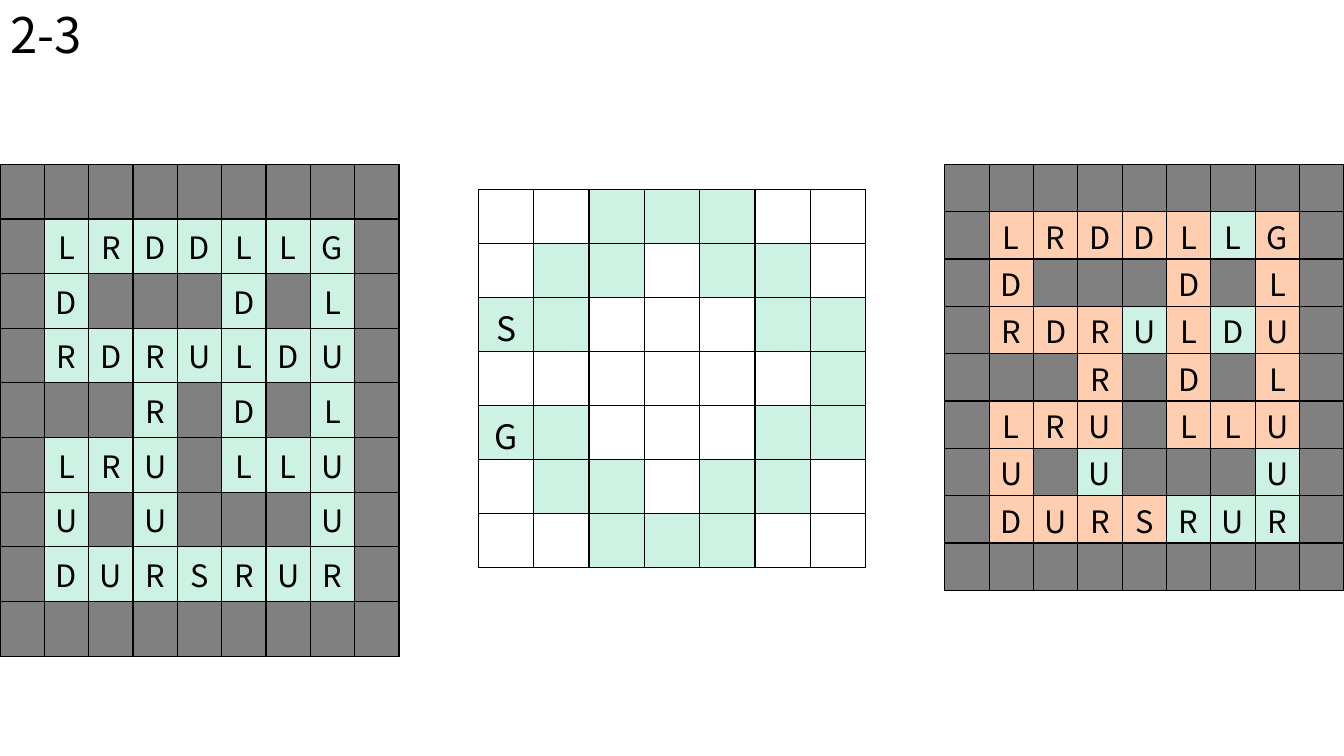
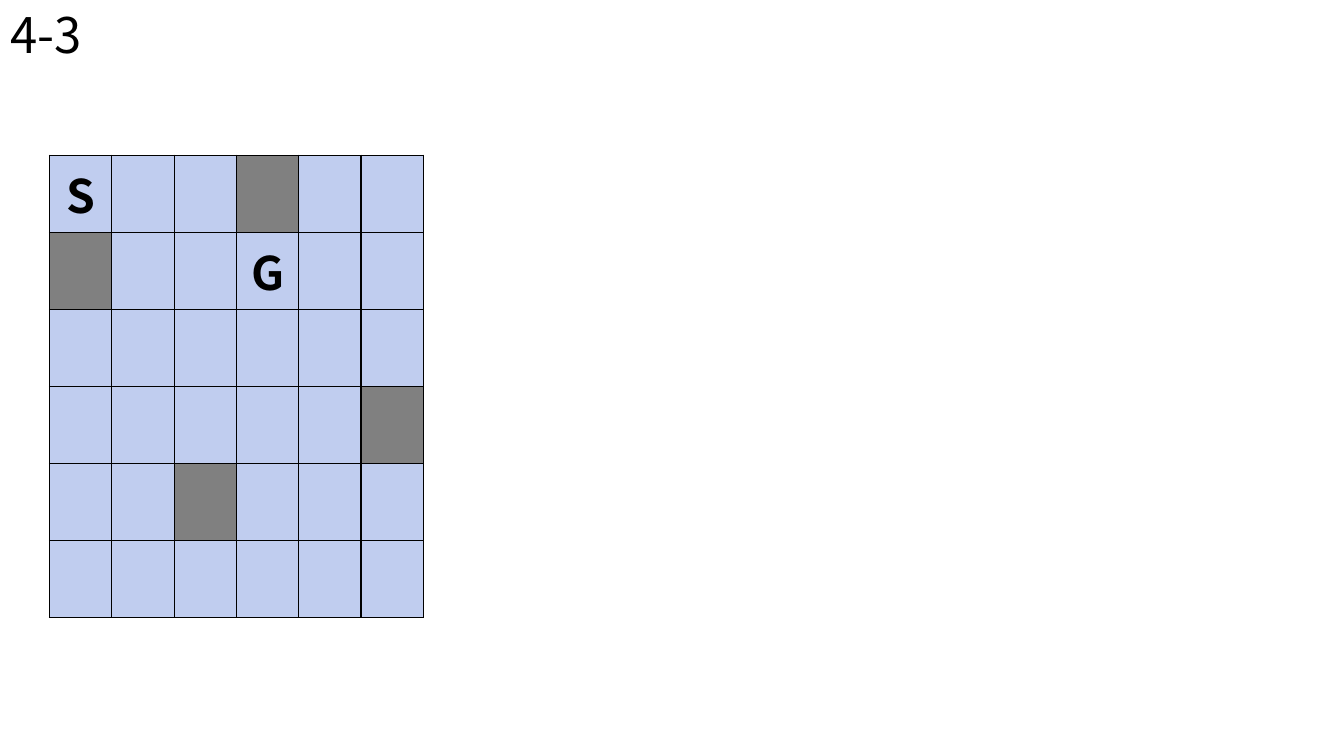
import lxml.etree
import pptx
import pptx.dml.color
import pptx.enum.text
import pptx.oxml.ns
import pptx.util

COLORS = {"ink": "000000", "wall": "808080", "mint": "CDF2E4",
          "peach": "FFCEB0", "sky": "C0CDEF"}
PAINT = {"#": "wall", "m": "mint", "p": "peach", "b": "sky", ".": None}

MAZE = ["#########", "#LRDDLLG#", "#D###D#L#", "#RDRULDU#", "###R#D#L#",
        "#LRU#LLU#", "#U#U###U#", "#DURSRUR#", "#########"]
ROUTE = ["#########", "#pppppmp#", "#p###p#p#", "#pppmpmp#", "###p#p#p#",
         "#ppp#ppp#", "#p#m###m#", "#ppppmmm#", "#########"]
RING = ["..mmm..", ".mm.mm.", "Sm...mm", "......m", "Gm...mm", ".mm.mm.", "..mmm.."]
FIELD = ["Sbb#bb", "#bbGbb", "bbbbbb", "bbbbb#", "bb#bbb", "bbbbbb"]


def set_all(target, values):
    for attribute, value in values.items():
        setattr(target, attribute, value)


class Puzzles:
    """Hold the shared style and the current slide, measured on a 100 by 100 grid."""

    font = "Noto Sans CJK KR"
    title_area = (0, 0, 7.35, 9.07)
    title_frame = {"margin_top": 0, "margin_bottom": 0, "margin_left": pptx.util.Inches(0.1),
                   "word_wrap": False, "auto_size": pptx.enum.text.MSO_AUTO_SIZE.NONE,
                   "vertical_anchor": pptx.enum.text.MSO_ANCHOR.MIDDLE}

    def __init__(self):
        self.deck = pptx.Presentation()
        set_all(self.deck, {"slide_width": pptx.util.Inches(13.33),
                            "slide_height": pptx.util.Inches(7.5)})

    def place(self, left, top, width, height):
        across, down = self.deck.slide_width / 100, self.deck.slide_height / 100
        return [round(left * across), round(top * down),
                round(width * across), round(height * down)]

    def letter(self, paragraph, text, size, bold, align):
        paragraph.alignment = align
        run = paragraph.add_run()
        run.text = text
        set_all(run.font, {"name": self.font, "size": pptx.util.Pt(size), "bold": bold})
        run.font.color.rgb = pptx.dml.color.RGBColor.from_string(COLORS["ink"])

    def page(self, number):
        self.slide = self.deck.slides.add_slide(self.deck.slide_layouts[5])
        title = self.slide.shapes.title
        set_all(title, dict(zip(("left", "top", "width", "height"),
                                self.place(*self.title_area))))
        set_all(title.text_frame, self.title_frame)
        self.letter(title.text_frame.paragraphs[0], number, 35, False,
                    pptx.enum.text.PP_ALIGN.LEFT)

    def border(self, cell):
        qn = pptx.oxml.ns.qn
        properties = cell._tc.get_or_add_tcPr()
        for side in ("a:lnL", "a:lnR", "a:lnT", "a:lnB"):
            edge = lxml.etree.SubElement(properties, qn(side), w=str(pptx.util.Pt(1)))
            ink = lxml.etree.SubElement(edge, qn("a:solidFill"))
            lxml.etree.SubElement(ink, qn("a:srgbClr"), val=COLORS["ink"])

    def size_line(self, paragraph, size):
        qn = pptx.oxml.ns.qn
        ending = lxml.etree.SubElement(paragraph._p, qn("a:endParaRPr"), sz=str(size * 100))
        for script in ("a:latin", "a:ea"):
            lxml.etree.SubElement(ending, qn(script), typeface=self.font)

    def board(self, area, marks, size, ground="mint", paints=None, bold=False, spacing=None):
        board = self.slide.shapes.add_table(len(marks), len(marks[0]), *self.place(*area)).table
        set_all(board, {"first_row": False, "horz_banding": False})
        for row, (letters, codes) in enumerate(zip(marks, paints or marks)):
            for column, (mark, code) in enumerate(zip(letters, codes)):
                cell = board.cell(row, column)
                set_all(cell, spacing or {})
                self.border(cell)
                color = PAINT.get(code, ground)
                if color:
                    cell.fill.solid()
                    cell.fill.fore_color.rgb = pptx.dml.color.RGBColor.from_string(COLORS[color])
                else:
                    cell.fill.background()
                paragraph = cell.text_frame.paragraphs[0]
                if mark.isupper():
                    self.letter(paragraph, mark, size, bold, pptx.enum.text.PP_ALIGN.CENTER)
                self.size_line(paragraph, size)


def main():
    puzzles = Puzzles()
    maze_width, ring_width = 29.7, 28.8

    puzzles.page("2-3")
    puzzles.board((0, 21.73, maze_width, 56.4), MAZE, 22)
    puzzles.board(((100 - ring_width) / 2, 25.07, ring_width, 50), RING, 24,
                  spacing={"margin_top": pptx.util.Inches(0.05), "margin_bottom": 0,
                           "vertical_anchor": pptx.enum.text.MSO_ANCHOR.MIDDLE})
    puzzles.board((100 - maze_width, 21.73, maze_width, 56.4), MAZE, 22, paints=ROUTE,
                  spacing={"margin_top": pptx.util.Inches(0.02), "margin_bottom": 0})

    puzzles.page("4-3")
    puzzles.board((3.68, 20.53, 27.83, 52.67), FIELD, 33, ground="sky", bold=True)

    puzzles.deck.save("out.pptx")


if __name__ == "__main__":
    main()
